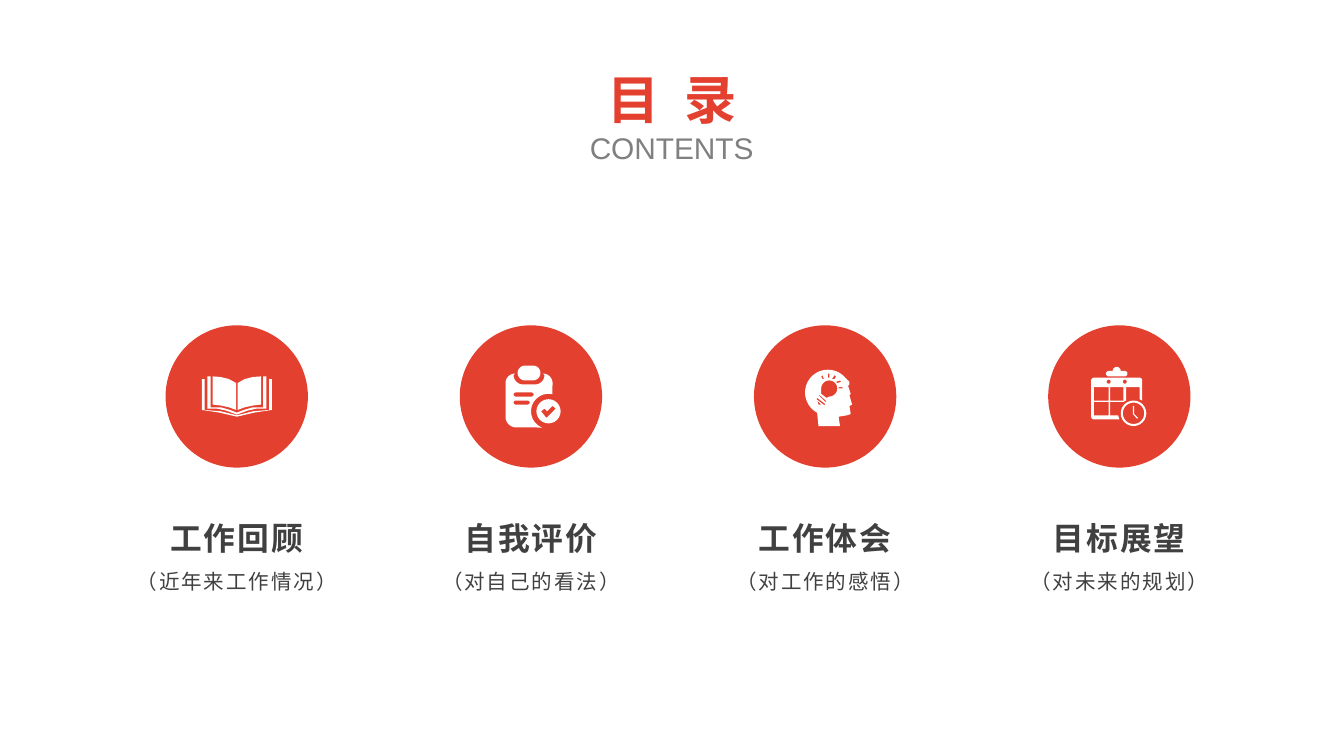
from math import cos, sin, radians
from pptx import Presentation
from pptx.dml.color import RGBColor as Rgb
from pptx.enum.shapes import MSO_SHAPE as Kind
from pptx.enum.text import MSO_ANCHOR as Anchor, MSO_AUTO_SIZE as Fit, PP_ALIGN as Align
from pptx.oxml.ns import qn
from pptx.util import Cm, Pt

HUES = {"red": "E4402F", "gray": "808080", "dark": "404040", "white": "FFFFFF"}
CJK = "Noto Sans CJK SC"
UNIT = Cm(2.54) / 100
FIRST, STEP, SIZE, TOP = 3.13, 5.56, 2.69, 6.15


def arc(x, y, r, start=0, end=360):
    turns = [radians(start + (end - start) * i / 24) for i in range(25)]
    return [(x + r * cos(t), y + r * sin(t)) for t in turns]


def box(x, y, w, h):
    return [(x, y), (x + w, y), (x + w, y + h), (x, y + h)]


def pill(x, y, w, h):
    r = h / 2
    return arc(x + r, y + r, r, 90, 270) + arc(x + w - r, y + r, r, -90, 90)


def book():
    cover = [(-26, 2), (-24, 2), (-24, 25), (-12, 26), (0, 29), (0, 30), (-13, 27), (-26, 25)]
    edge = [(-22, 0), (-19.5, 0), (-19.5, 23), (-12, 23), (-5, 25), (0, 27),
            (0, 28.5), (-8, 25.5), (-15, 24), (-22, 24)]
    page = [(-0.5, 5), (-6, 2), (-12, 0.5), (-18, 0), (-18, 21), (-12, 21.7), (-6, 23), (-0.5, 25)]
    half = [cover, edge, page]
    return half + [[(-x, y) for x, y in loop] for loop in half]


def board():
    body = (arc(22, 7, 7, 0, 90) + arc(13, 7, 7, 90, 180) + arc(7, 13, 7, 270, 180)
            + arc(8, 38, 8, 180, 90) + arc(32, 34, 13, 112, 283) + arc(28, 13, 7, 0, -90))
    tick = [(26.5, 34), (29, 32), (31, 34), (35, 30), (37.5, 32), (30.5, 39)]
    return [body, pill(9, 0, 17, 11), pill(6, 20, 15, 3), pill(6, 26, 12, 3),
            arc(32, 34, 9), tick]


def head():
    face = arc(22, 18, 17, 118, 310) + [
        (38, 10), (38, 12), (37, 13), (39, 19), (38, 20), (40, 27), (38, 28),
        (39, 34), (36, 35), (30, 36), (31, 43), (15, 43)]
    bulb = arc(23, 15, 6, 180, 450) + [(21, 22), (17, 19)]
    base = [[(15, 20), (16, 20), (21, 24.5), (20, 25)],
            [(14, 22), (20, 26.5), (19.5, 27.5), (13.5, 23)],
            [(14, 24), (17, 27), (15, 27)]]
    rays = [[(27, 8), (28, 6), (27, 5), (25, 8)], [(29, 11), (32, 10), (31, 9), (28, 10)],
            [(19, 8), (18, 5), (17, 6), (18, 8)], box(22, 4, 1, 3), box(30, 14, 3, 1)]
    return [face, bulb] + base + rays


def plan():
    body = arc(2, 10, 2, 180, 270) + arc(36, 10, 2, 270, 360) + [
        (38, 25), (36, 24), (36, 15), (26, 15), (26, 25), (24, 26), (14, 26),
        (14, 36), (20, 36), (21, 39)] + arc(2, 37, 2, 90, 180)
    cells = [box(2, 15, 11, 10), box(14, 15, 10, 10), box(2, 26, 11, 10)]
    hands = [(31, 29), (32, 29), (32, 35), (35, 38), (34, 38.5), (31, 35)]
    clip = [arc(19, 3, 3, 180, 360), pill(11, 3, 16, 4)]
    dots = [arc(x, 11, 1.5) for x in (13, 25)]
    clock = [arc(31.5, 34.5, r) for r in (9.5, 8)]
    return [body] + cells + clip + dots + clock + [hands]


def paint(shape, hue):
    shape.shadow.inherit = False
    shape.fill.solid()
    shape.fill.fore_color.rgb = Rgb.from_string(HUES[hue])
    shape.line.fill.background()


def draw(slide, left, loops, dx, dy):
    def place(loop):
        return [(Cm(left) + (x + dx) * UNIT, Cm(TOP) + (y + dy) * UNIT) for x, y in loop]

    paths = [place(loop) for loop in loops]
    pen = slide.shapes.build_freeform(*paths[0][0], scale=1.0)
    for i, path in enumerate(paths):
        if i:
            pen.move_to(*path[0])
        pen.add_line_segments(path[1:], close=True)
    paint(pen.convert_to_shape(), "white")


def disc(slide, left):
    paint(slide.shapes.add_shape(Kind.OVAL, Cm(left), Cm(TOP), Cm(SIZE), Cm(SIZE)), "red")


def frame(shape):
    body = shape.text_frame
    body.word_wrap = True
    body.auto_size = Fit.SHAPE_TO_FIT_TEXT
    body.vertical_anchor = Anchor.TOP
    return body


def write(body, text, size, hue, face=CJK, bold=False, gap=0, lead=1.0):
    para = body.paragraphs[0]
    if para.runs:
        para = body.add_paragraph()
    para.alignment = Align.CENTER
    para.line_spacing = lead
    run = para.add_run()
    run.text = text
    font = run.font
    font.size, font.bold, font.name = Pt(size), bold, face
    font.color.rgb = Rgb.from_string(HUES[hue])
    props = run._r.get_or_add_rPr()
    props.set("spc", str(int(gap * 100)))
    east = props.makeelement(qn("a:ea"), {"typeface": CJK})
    props.find(qn("a:latin")).addnext(east)


def label(slide, mid, name, note):
    wide = 0.58 + 0.48 * len(note)
    shape = slide.shapes.add_textbox(Cm(mid - wide / 2), Cm(9.32), Cm(wide), Cm(1.96))
    body = frame(shape)
    write(body, name, 17, "dark", bold=True, gap=1, lead=1.5)
    write(body, note, 11, "dark", gap=1, lead=1.5)


def main():
    deck = Presentation()
    deck.slide_width, deck.slide_height = Cm(25.4), Cm(14.29)
    slide = deck.slides.add_slide(deck.slide_layouts[5])
    title = slide.shapes.title
    title.left, title.top, title.width, title.height = Cm(10.64), Cm(1.14), Cm(4.11), Cm(2.13)
    body = frame(title)
    write(body, "目 录", 28, "red", face="Roboto Condensed", bold=True, gap=3.5)
    write(body, "CONTENTS", 16, "gray", face="Arial")
    items = [
        ("工作回顾", "（近年来工作情况）", book, 53, 38),
        ("自我评价", "（对自己的看法）", board, 34, 30),
        ("工作体会", "（对工作的感悟）", head, 33, 32),
        ("目标展望", "（对未来的规划）", plan, 32, 31),
    ]
    for i, (name, note, icon, dx, dy) in enumerate(items):
        left = FIRST + STEP * i
        disc(slide, left)
        draw(slide, left, icon(), dx, dy)
        label(slide, left + SIZE / 2, name, note)
    deck.save("out.pptx")


if __name__ == "__main__":
    main()
